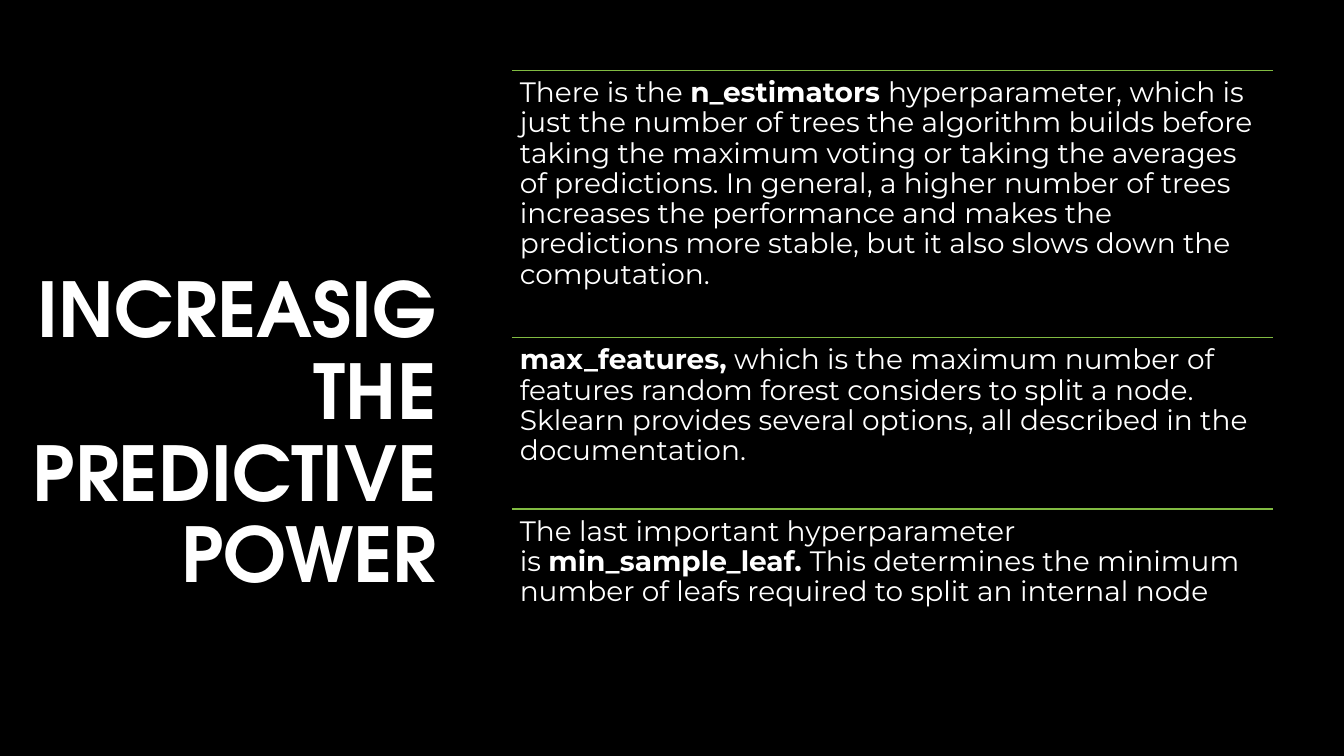
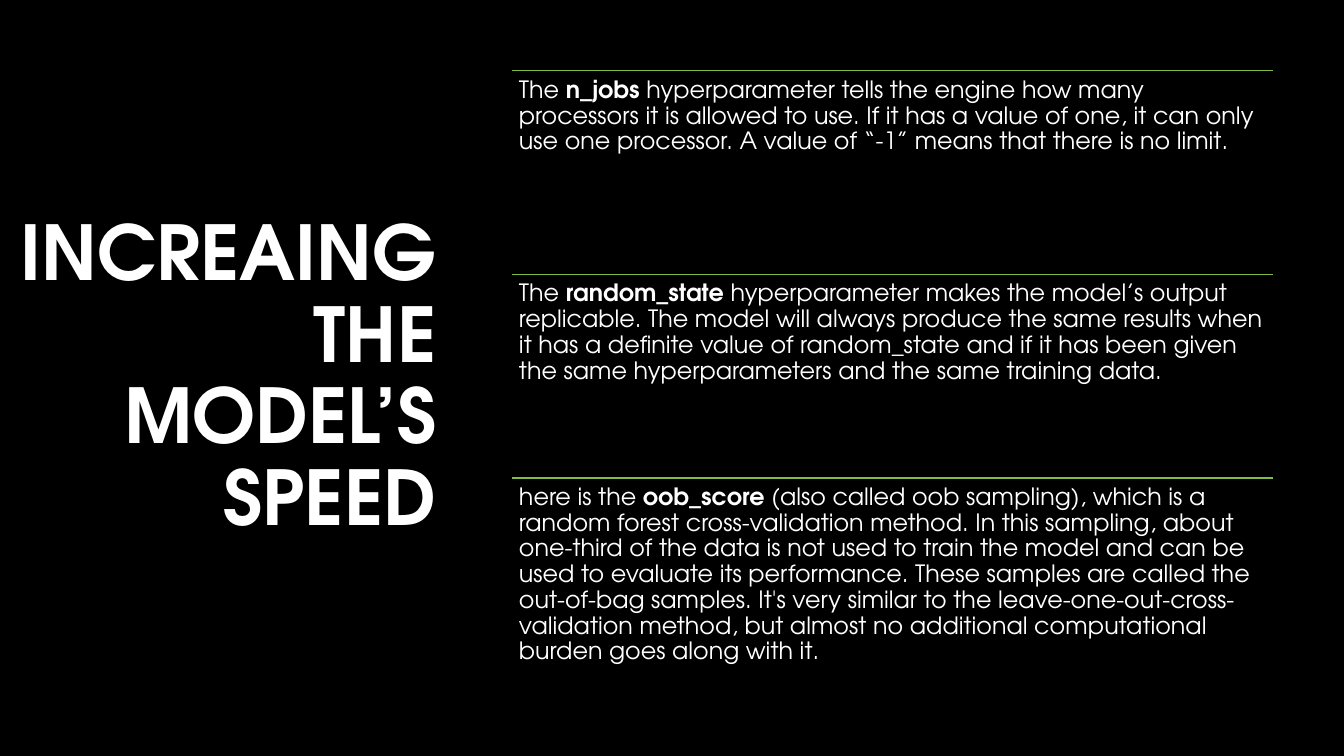
from dataclasses import dataclass

from pptx import Presentation
from pptx.dml.color import RGBColor
from pptx.enum.shapes import MSO_CONNECTOR as Connector
from pptx.enum.text import MSO_ANCHOR as Anchor
from pptx.enum.text import MSO_AUTO_SIZE as AutoSize
from pptx.enum.text import PP_ALIGN as Align
from pptx.oxml.ns import qn
from pptx.util import Cm, Pt

COLORS = {"background": "000000", "text": "FFFFFF", "rule": "81BB42"}
TITLE_FONT = "TeX Gyre Adventor"
TITLE_RIGHT, TITLE_BOTTOM = 11.25, 17.3
COLUMN_LEFT, COLUMN_TOP, COLUMN_WIDTH = 12.9, 1.78, 19.18
NBSP = chr(160)


@dataclass
class Section:
    text: str  # ** switches bold on and off, ~ is a non-breaking space
    height: float


@dataclass
class TopicSlide:
    title: str
    title_left: float
    title_top: float
    font: str
    size: float
    inset: float
    sections: list[Section]


TOPICS = [
    TopicSlide("INCREASIG THE PREDICTIVE POWER", 0.48, 4.67, "Montserrat", 20, 0.2, [
        Section("There is the~**n_estimators~**hyperparameter, which is just the number of "
                "trees the algorithm builds before taking the maximum voting or taking the "
                "averages of predictions. In general, a higher number of trees increases the "
                "performance and makes the predictions more stable, but it also slows down "
                "the computation.", 6.73),
        Section("**max_features,**~which is the maximum number of features random forest "
                "considers to split a node. Sklearn provides several options, all described "
                "in the documentation.", 4.32),
        Section("The last important hyperparameter is~**min_sample_leaf.~**This determines "
                "the minimum number of leafs required to split an internal node", 4.32),
    ]),
    TopicSlide("INCREAING THE MODEL’S SPEED", 0, 1.78, TITLE_FONT, 17, 0.18, [
        Section("The~**n_jobs**~hyperparameter tells the engine how many processors it is "
                "allowed to use. If it has a value of one, it can only use one processor. "
                "A value of “-1” means that there is no limit.", 5.13),
        Section("The**~random_state~**hyperparameter~makes the model’s output replicable. "
                "The model will always produce the same results when it has a definite value "
                "of random_state and if it has been given the same hyperparameters and the "
                "same training data.", 5.13),
        Section("here is the~**oob_score**~(also called oob sampling), which is a random "
                "forest cross-validation method. In this sampling, about one-third of the "
                "data is not used to train the model and can be used to evaluate its "
                "performance. These samples are called the out-of-bag samples. It's~very "
                "similar to the leave-one-out-cross-validation method, but almost no "
                "additional computational burden goes along with it.", 5.13),
    ]),
]


def rgb(name: str) -> RGBColor:
    return RGBColor.from_string(COLORS[name])


def style(p, font: str, size: float) -> None:
    p.line_spacing = 0.9
    p.font.name = font
    p.font.size = Pt(size)
    p.font.color.rgb = rgb("text")


def add_title(slide, topic: TopicSlide) -> None:
    sp = slide.shapes.title
    sp.left, sp.top = Cm(topic.title_left), Cm(topic.title_top)
    sp.width = Cm(TITLE_RIGHT - topic.title_left)
    sp.height = Cm(TITLE_BOTTOM - topic.title_top)
    tf = sp.text_frame
    tf.text = topic.title
    tf.word_wrap = True
    tf.auto_size = AutoSize.NONE
    tf.vertical_anchor = Anchor.MIDDLE
    p = tf.paragraphs[0]
    style(p, TITLE_FONT, 54)
    p.font.bold = True
    p.alignment = Align.RIGHT


def add_rule(slide, top: float) -> None:
    line = slide.shapes.add_connector(
        Connector.STRAIGHT, Cm(COLUMN_LEFT), Cm(top), Cm(COLUMN_LEFT + COLUMN_WIDTH), Cm(top))
    line.line.color.rgb = rgb("rule")
    line.line.width = Pt(1)
    sp_pr = line._element.spPr
    sp_pr.append(sp_pr.makeelement(qn("a:effectLst"), {}))


def add_section(slide, topic: TopicSlide, section: Section, top: float) -> None:
    sp = slide.shapes.add_textbox(
        Cm(COLUMN_LEFT), Cm(top), Cm(COLUMN_WIDTH), Cm(section.height))
    tf = sp.text_frame
    tf.word_wrap = True
    tf.margin_left = tf.margin_right = tf.margin_top = tf.margin_bottom = Cm(topic.inset)
    p = tf.paragraphs[0]
    style(p, topic.font, topic.size)
    for i, part in enumerate(section.text.replace("~", NBSP).split("**")):
        if part:
            r = p.add_run()
            r.text = part
            r.font.bold = i % 2 == 1


def add_topic(prs, topic: TopicSlide) -> None:
    slide = prs.slides.add_slide(prs.slide_layouts.get_by_name("Title Only"))
    add_title(slide, topic)
    # Ruled sections, stacked down the right column
    top = COLUMN_TOP
    for section in topic.sections:
        add_rule(slide, top)
        add_section(slide, topic, section, top)
        top += section.height


def main() -> None:
    prs = Presentation()
    prs.slide_width, prs.slide_height = Cm(33.87), Cm(19.05)
    # Shared background
    fill = prs.slide_master.background.fill
    fill.solid()
    fill.fore_color.rgb = rgb("background")
    for topic in TOPICS:
        add_topic(prs, topic)
    prs.save("out.pptx")


if __name__ == "__main__":
    main()
